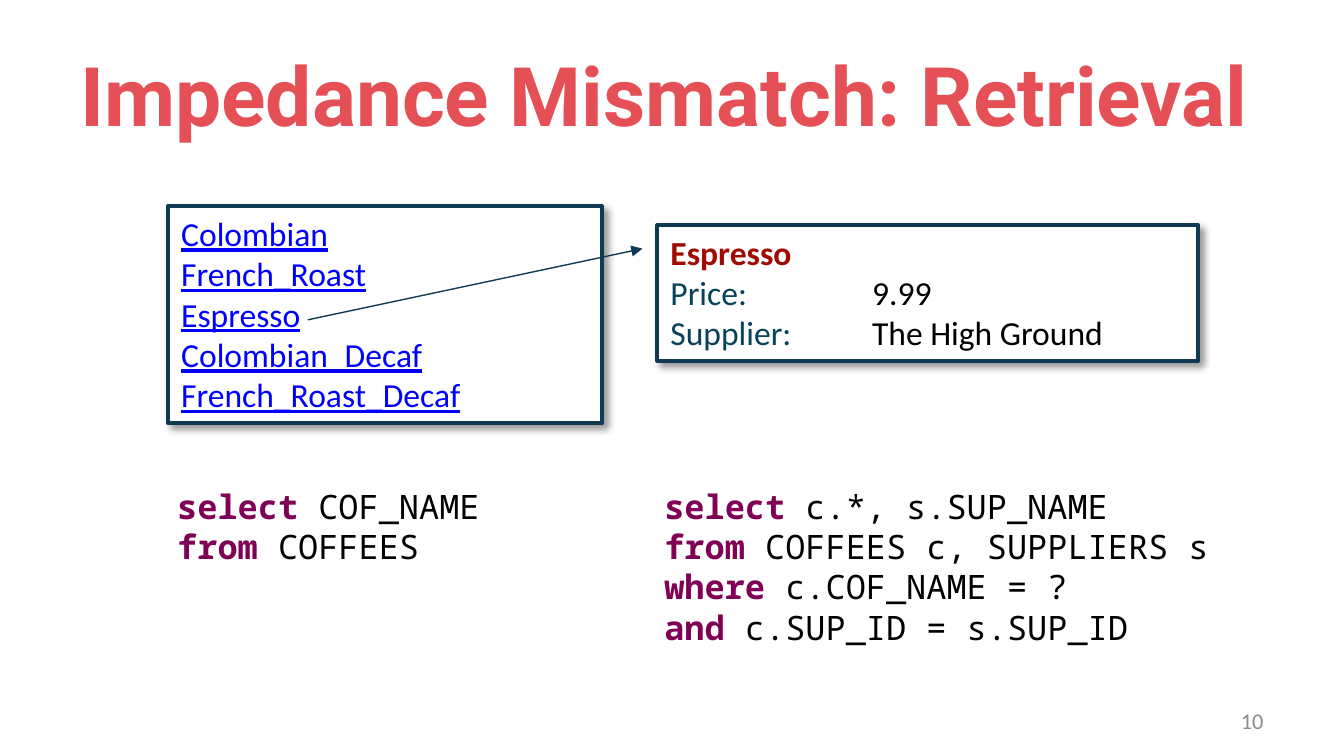
import pptx
import pptx.util
import pptx.dml.color
import pptx.enum.shapes
import pptx.enum.text
import pptx.oxml
import pptx.oxml.ns

PX = 4572  # EMU per px, 200 px to the inch


class Theme:
    title, body, code = "Roboto", "Calibri", "Noto Sans Mono"
    title_size, text_size, number_size = 44, 18, 12
    red, heading, label = "E55057", "A10A00", "084159"
    link, keyword, plain = "0000FF", "7F0055", "000000"
    frame, paper, muted = "103A51", "FFFFFF", "8C8C8C"


# Content
TITLE = "Impedance Mismatch: Retrieval"
PAGE_NUMBER = "10"
COFFEES = ["Colombian", "French_Roast", "Espresso", "Colombian_Decaf", "French_Roast_Decaf"]
DETAIL_NAME = "Espresso"
DETAILS = [("Price:", "9.99"), ("Supplier:", "The High Ground")]
QUERIES = [
    ((244, 713, 624, 142), [("select", "COF_NAME"), ("from", "COFFEES")]),
    ((969, 713, 888, 354), [
        ("select", "c.*, s.SUP_NAME"),
        ("from", "COFFEES c, SUPPLIERS s"),
        ("where", "c.COF_NAME = ?"),
        ("and", "c.SUP_ID = s.SUP_ID"),
    ]),
]

# Places
SLIDE_SIZE = (2000, 1125)
TITLE_AT = (100, 46, 1800, 188)
LIST_AT = (250, 307, 646, 323)
DETAIL_AT = (978, 335, 805, 202)
ARROW = (458, 476, 956, 370)
NUMBER_AT = (1434, 1043, 466, 60)
TAB_STOPS = (200, 300)

NAMESPACE = pptx.oxml.ns.nsdecls("a")
SHADOW = (
    f'<a:effectLst {NAMESPACE}><a:outerShdw blurRad="50800" dist="38100" dir="2700000" '
    'algn="tl" rotWithShape="0"><a:srgbClr val="000000"><a:alpha val="40000"/>'
    "</a:srgbClr></a:outerShdw></a:effectLst>"
)


def emu(lengths):
    return [length * PX for length in lengths]


def rgb(color):
    return pptx.dml.color.RGBColor.from_string(color)


def add_span(para, text, color, font=Theme.body, size=Theme.text_size, bold=False, underline=False):
    span = para.add_run()
    span.text = text
    span.font.name = font
    span.font.size = pptx.util.Pt(size)
    span.font.color.rgb = rgb(color)
    span.font.bold = bold
    span.font.underline = underline


def add_para(frame, first):
    para = frame.paragraphs[0] if first else frame.add_paragraph()
    para.alignment = pptx.enum.text.PP_ALIGN.LEFT
    return para


def add_text_box(page, place, middle=False):
    frame = page.shapes.add_textbox(*emu(place)).text_frame
    frame.word_wrap = True
    if middle:
        frame.vertical_anchor = pptx.enum.text.MSO_ANCHOR.MIDDLE
    return frame


def add_card(page, place):
    card = page.shapes.add_shape(pptx.enum.shapes.MSO_SHAPE.RECTANGLE, *emu(place))
    card.fill.solid()
    card.fill.fore_color.rgb = rgb(Theme.paper)
    card.line.color.rgb = rgb(Theme.frame)
    card.line.width = pptx.util.Pt(2)
    card._element.spPr.append(pptx.oxml.parse_xml(SHADOW))
    card.text_frame.word_wrap = True
    card.text_frame.vertical_anchor = pptx.enum.text.MSO_ANCHOR.TOP
    return card.text_frame


def add_tab_stops(para):
    stops = "".join(f'<a:tab pos="{stop}" algn="l"/>' for stop in emu(TAB_STOPS))
    para._p.get_or_add_pPr().append(
        pptx.oxml.parse_xml(f"<a:tabLst {NAMESPACE}>{stops}</a:tabLst>"))


def add_arrow(page, ends):
    arrow = page.shapes.add_connector(pptx.enum.shapes.MSO_CONNECTOR.STRAIGHT, *emu(ends))
    arrow.line.color.rgb = rgb(Theme.frame)
    arrow.line.width = pptx.util.Pt(0.75)
    arrow.line._get_or_add_ln().append(
        pptx.oxml.parse_xml(f'<a:tailEnd {NAMESPACE} type="triangle"/>'))
    arrow._element.spPr.append(pptx.oxml.parse_xml(f"<a:effectLst {NAMESPACE}/>"))


def main():
    deck = pptx.Presentation()
    deck.slide_width, deck.slide_height = emu(SLIDE_SIZE)
    page = deck.slides.add_slide(deck.slide_layouts[6])

    # Title
    para = add_para(add_text_box(page, TITLE_AT, middle=True), True)
    add_span(para, TITLE, Theme.red, Theme.title, Theme.title_size, bold=True)

    # Coffee list
    frame = add_card(page, LIST_AT)
    for index, name in enumerate(COFFEES):
        add_span(add_para(frame, index == 0), name, Theme.link, underline=True)

    # Details of the chosen coffee
    frame = add_card(page, DETAIL_AT)
    add_span(add_para(frame, True), DETAIL_NAME, Theme.heading, bold=True)
    for label, value in DETAILS:
        para = add_para(frame, False)
        add_tab_stops(para)
        add_span(para, label + "\t\t", Theme.label)
        add_span(para, value, Theme.plain)

    add_arrow(page, ARROW)

    # Queries behind each card
    for place, lines in QUERIES:
        para = add_para(add_text_box(page, place), True)
        for index, (keyword, rest) in enumerate(lines):
            if index:
                para.add_line_break()
            add_span(para, keyword, Theme.keyword, Theme.code, bold=True)
            add_span(para, " " + rest, Theme.plain, Theme.code)

    # Page number
    para = add_para(add_text_box(page, NUMBER_AT, middle=True), True)
    para.alignment = pptx.enum.text.PP_ALIGN.RIGHT
    add_span(para, PAGE_NUMBER, Theme.muted, size=Theme.number_size)

    deck.save("out.pptx")


if __name__ == "__main__":
    main()
